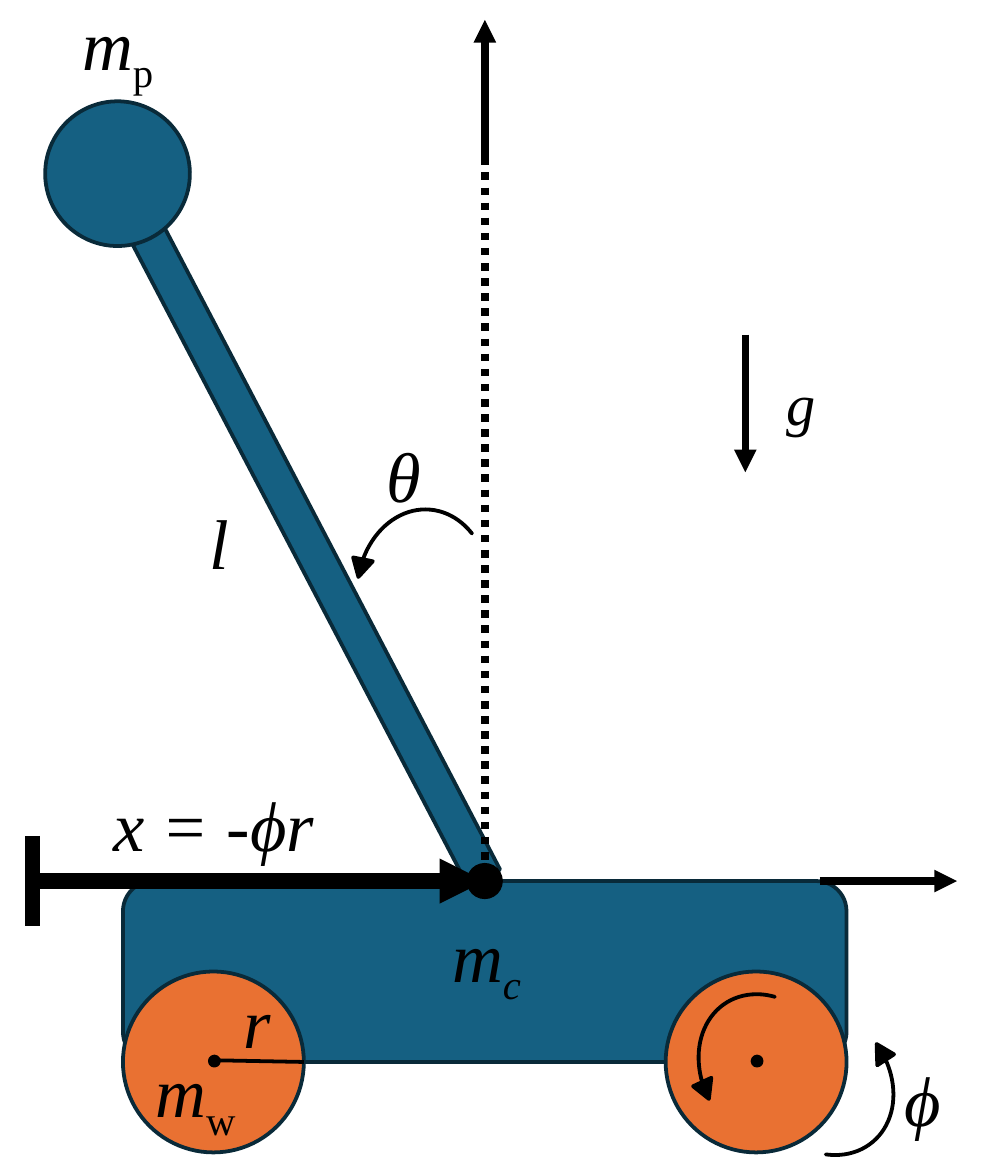
from lxml.etree import SubElement
from pptx import Presentation
from pptx.dml.color import RGBColor
from pptx.enum.dml import MSO_LINE
from pptx.enum.shapes import MSO_CONNECTOR, MSO_SHAPE
from pptx.enum.text import MSO_AUTO_SIZE, PP_ALIGN
from pptx.oxml.ns import qn
from pptx.util import Emu, Pt

PX = 9144
FONT = "Times New Roman"
BLACK = RGBColor(0x00, 0x00, 0x00)
BLUE = RGBColor(0x15, 0x60, 0x82)
NAVY = RGBColor(0x09, 0x2A, 0x39)
ORANGE = RGBColor(0xE9, 0x71, 0x32)
TURN_ADJUSTMENTS = (0, 9.361, 202.749, 140.358, 0.066)


def px(*lengths):
    return [Emu(length * PX) for length in lengths]


def add_body(slide, preset, box, fill, outline=NAVY, rotation=0):
    body = slide.shapes.add_shape(preset, *px(*box))
    body.shadow.inherit = False
    body.rotation = rotation
    body.fill.solid()
    body.fill.fore_color.rgb = fill
    if outline is None:
        body.line.fill.background()
    else:
        body.line.color.rgb = outline
        body.line.width = Pt(1.5)
    return body


def add_turn(slide, left, top, rotation):
    turn = add_body(slide, MSO_SHAPE.CIRCULAR_ARROW, (left, top, 84, 100),
                    BLACK, BLACK, rotation)
    for index, value in enumerate(TURN_ADJUSTMENTS):
        turn.adjustments[index] = value
    turn.element.spPr.find(qn("a:xfrm")).set("flipH", "1")


def add_line(slide, start, end, width, arrow=False, dash=None):
    line = slide.shapes.add_connector(MSO_CONNECTOR.STRAIGHT, *px(*start, *end))
    line.line.color.rgb = BLACK
    line.line.width = Pt(width)
    if dash is not None:
        line.line.dash_style = dash
    if arrow:
        SubElement(line.line._get_or_add_ln(), qn("a:tailEnd"), type="triangle")
    SubElement(line.element.spPr, qn("a:effectLst"))


def format_run(run, size, italic=True, lowered=False):
    run.font.name = FONT
    run.font.size = Pt(size)
    run.font.italic = italic
    run.font.color.rgb = BLACK
    if lowered:
        run.font._element.set("baseline", "-25000")


def add_label(slide, box, symbol, subscript="", slanted=False, size=28, lowered=False):
    label = slide.shapes.add_textbox(*px(*box))
    frame = label.text_frame
    frame.word_wrap = True
    frame.auto_size = MSO_AUTO_SIZE.SHAPE_TO_FIT_TEXT
    frame.text = symbol
    paragraph = frame.paragraphs[0]
    paragraph.alignment = PP_ALIGN.CENTER
    format_run(paragraph.runs[0], size, lowered=lowered)
    if subscript:
        run = paragraph.add_run()
        run.text = subscript
        format_run(run, size, slanted, lowered=True)


def add_robot(slide):
    add_body(slide, MSO_SHAPE.RECTANGLE, (165, 108, 20, 400), BLUE, rotation=332.4)
    add_body(slide, MSO_SHAPE.OVAL, (25, 56, 80, 80), BLUE, rotation=332.4)
    add_body(slide, MSO_SHAPE.ROUNDED_RECTANGLE, (68, 487, 400, 100), BLUE)
    for wheel_left in (68, 368):
        add_body(slide, MSO_SHAPE.OVAL, (wheel_left, 537, 100, 100), ORANGE)
        add_body(slide, MSO_SHAPE.OVAL, (wheel_left + 48, 584, 5, 5), BLACK, BLACK)
    add_body(slide, MSO_SHAPE.OVAL, (258, 477, 20, 20), BLACK, None)


def add_axes(slide):
    add_line(slide, (268, 87), (268, 487), 3, dash=MSO_LINE.ROUND_DOT)
    add_line(slide, (268, 87), (268, 11), 3, arrow=True)
    add_line(slide, (453, 487), (529, 487), 3, arrow=True)
    add_line(slide, (18, 462), (18, 512), 6)
    add_line(slide, (18, 487), (268, 487), 6, arrow=True)
    add_line(slide, (412, 185), (412, 261), 3, arrow=True)
    add_line(slide, (116, 586), (168, 587), 1.5)


def add_labels(slide):
    add_label(slide, (178, 234, 90, 57), "θ")
    add_label(slide, (465, 579, 90, 57), "ϕ")
    add_label(slide, (60, 271, 122, 57), "l")
    add_label(slide, (81, 536, 122, 57), "r")
    add_label(slide, (34, 427, 168, 136), "x = -ϕr")
    add_label(slide, (4, -5, 122, 57), "m", "p")
    add_label(slide, (208, 499, 122, 57), "m", "c", slanted=True)
    add_label(slide, (47, 574, 122, 57), "m", "w")
    add_label(slide, (382, 161, 122, 55), "g", size=40, lowered=True)


def main():
    presentation = Presentation()
    presentation.slide_width, presentation.slide_height = px(550, 650)
    slide = presentation.slides.add_slide(presentation.slide_layouts[6])
    add_robot(slide)
    add_axes(slide)
    for left, top, rotation in ((192, 276, 4.7), (412, 547, 140.4), (383, 542, 328.5)):
        add_turn(slide, left, top, rotation)
    add_labels(slide)
    presentation.save("out.pptx")


if __name__ == "__main__":
    main()
